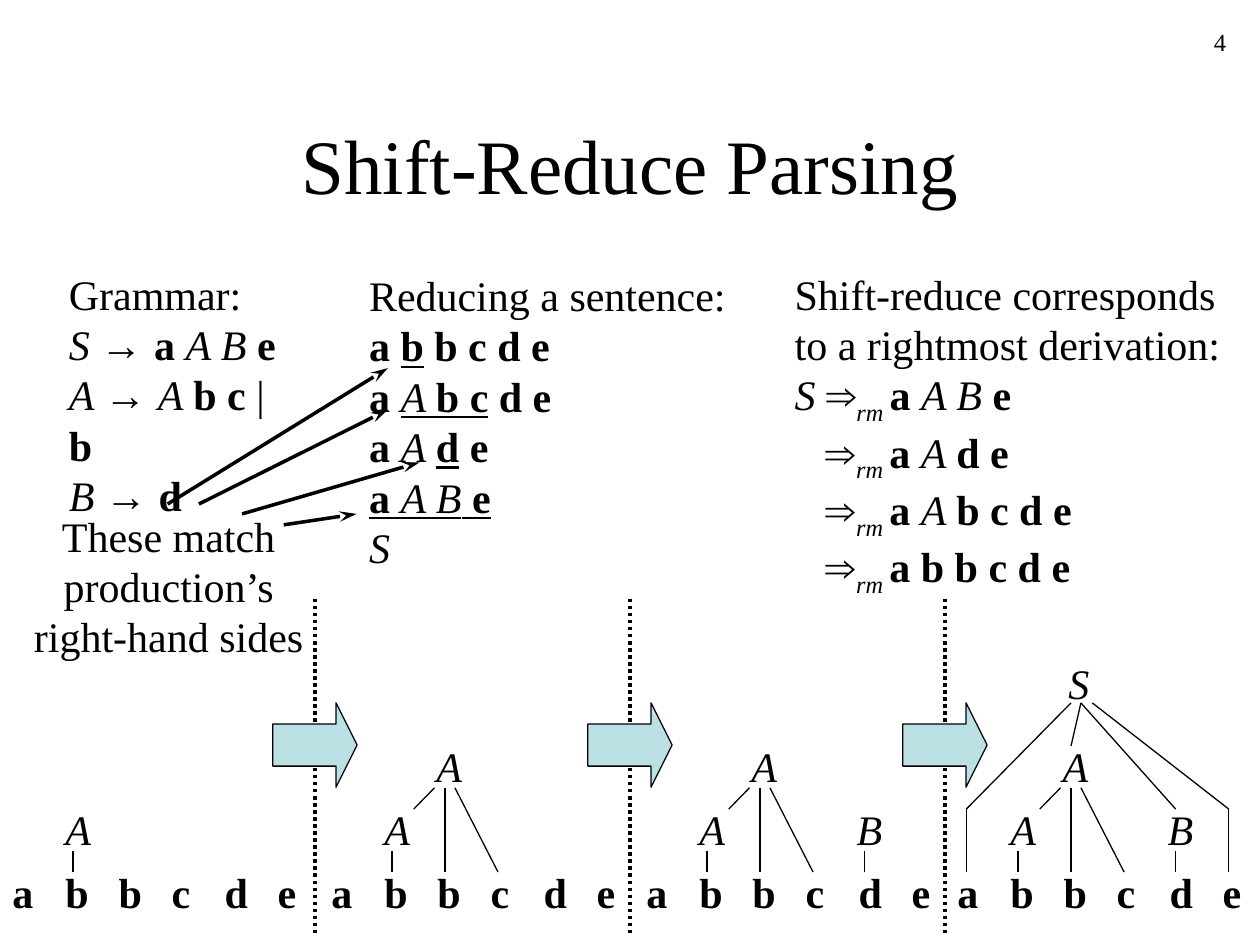
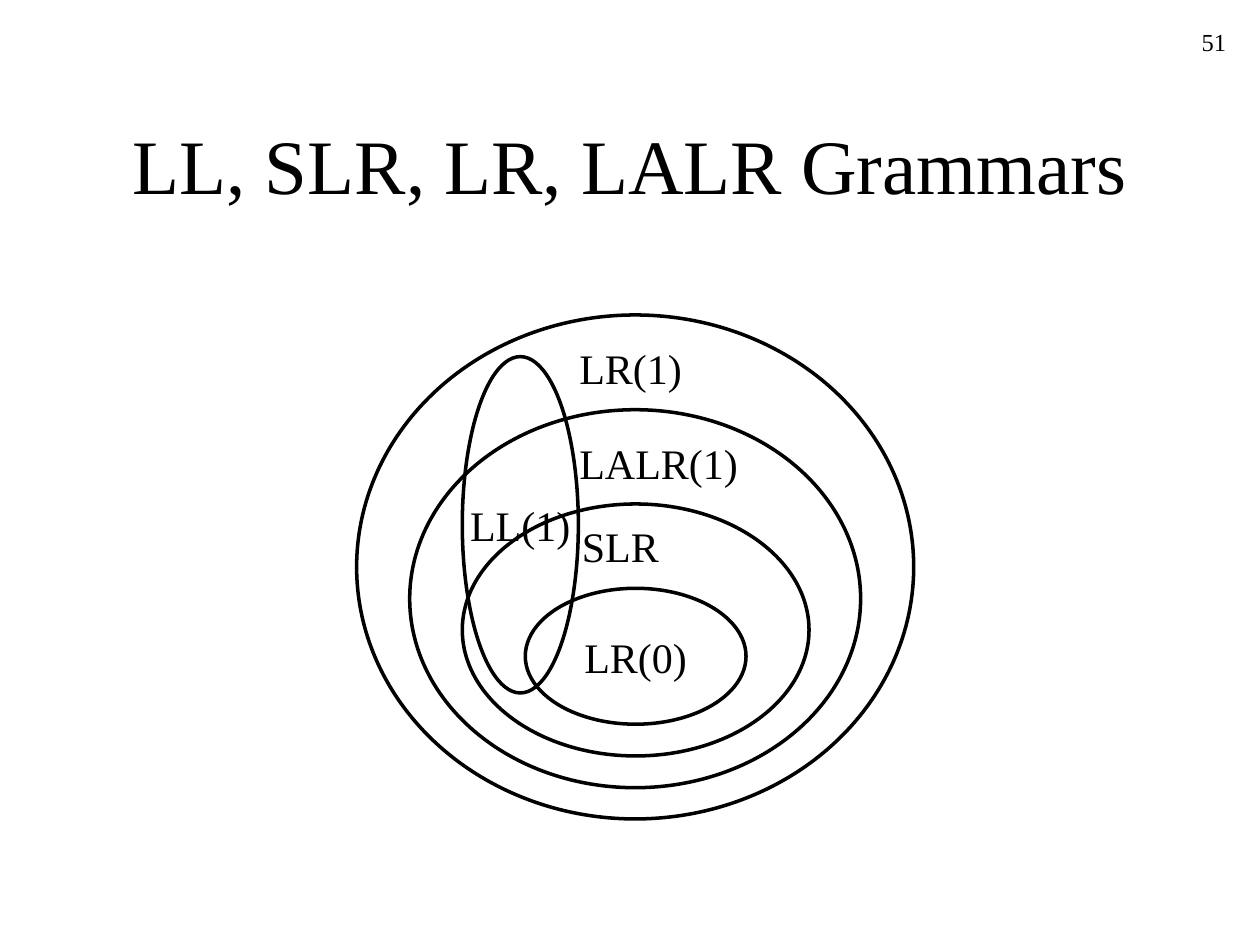
from dataclasses import dataclass
from typing import NamedTuple

from lxml import etree
from pptx import Presentation
from pptx import util as u
from pptx.dml.color import RGBColor
from pptx.enum import dml, shapes, text
from pptx.oxml import ns

BLACK = RGBColor(0x00, 0x00, 0x00)
PALE_TEAL = RGBColor(0xBB, 0xE0, 0xE3)
SERIF = "Times New Roman"
SYMBOL = "Arial"
BODY_SIZE = 24
THIN, THICK = 0.75, 2
LETTER_STEP = 1.07
STEP_INDENT = 0.63


class Span(NamedTuple):
    text: str
    style: str = ""


class Box(NamedTuple):
    left: float
    top: float
    width: float
    height: float = 1.27


class Segment(NamedTuple):
    x1: float
    y1: float
    x2: float
    y2: float


@dataclass(frozen=True)
class Reduction:
    symbol: str
    box: Box
    branches: tuple[Segment, ...]


@dataclass(frozen=True)
class GrammarClass:
    oval: Box
    name: str
    label: Box | None = None


ARROW = Span("→ ", "m")
DERIVES = (Span("⇒", "m"), Span("rm ", "is"))

GRAMMAR = (
    (Span("Grammar:"),),
    (Span("S ", "i"), ARROW, Span("a ", "b"), Span("A B ", "i"), Span("e", "b")),
    (Span("A ", "i"), ARROW, Span("A ", "i"), Span("b c ", "b"), Span("| "), Span("b", "b")),
    (Span("B ", "i"), ARROW, Span("d", "b")),
)
SENTENCE_STEPS = (
    (Span("Reducing a sentence:"),),
    (Span("a ", "b"), Span("b", "bu"), Span(" b c d e", "b")),
    (Span("a ", "b"), Span("A ", "iu"), Span("b c", "bu"), Span(" d e", "b")),
    (Span("a ", "b"), Span("A ", "i"), Span("d", "bu"), Span(" e", "b")),
    (Span("a ", "bu"), Span("A B", "iu"), Span(" ", "biu"), Span("e", "bu")),
    (Span("S", "i"),),
)
DERIVATION = (
    (Span("Shift-reduce corresponds"),),
    (Span("to a rightmost derivation:"),),
    (Span("S ", "i"), *DERIVES, Span("a ", "b"), Span("A B ", "i"), Span("e", "b")),
    (*DERIVES, Span("a ", "b"), Span("A ", "i"), Span("d e", "b")),
    (*DERIVES, Span("a ", "b"), Span("A ", "i"), Span("b c d e", "b")),
    (*DERIVES, Span("a b b c d e", "b")),
)
MATCH_NOTE = ((Span("These match"),), (Span("production’s"),), (Span("right-hand sides"),))
INPUT_LETTERS = ((Span("\t".join("abbcde"), "b"),),)

MATCH_ARROWS = (
    Segment(3.38, 10.16, 7.82, 7.42),
    Segment(4.01, 10.16, 7.82, 8.26),
    Segment(4.88, 10.36, 8.46, 9.32),
    Segment(5.72, 10.58, 7.19, 10.36),
)
PANEL_LEFTS = (0, 6.43, 12.78, 19.05)
PANEL_PITCH = 6.35
LEAF_TOP = 17.58
REDUCTIONS = (
    Reduction("A", Box(1.07, 16.08, 1.02), (Segment(1.47, 17.15, 1.47, LEAF_TOP),)),
    Reduction("A", Box(2.12, 14.81, 1.02), (
        Segment(2.33, 15.88, 1.91, 16.31),
        Segment(2.54, 15.88, 2.54, LEAF_TOP),
        Segment(2.74, 15.88, 3.61, LEAF_TOP),
    )),
    Reduction("B", Box(4.24, 16.08, 1.02), (Segment(4.65, 17.15, 4.65, LEAF_TOP),)),
    Reduction("S", Box(2.24, 13.13, 0.91), (
        Segment(2.54, 14.17, 0.43, 16.31),
        Segment(0.43, 16.31, 0.43, LEAF_TOP),
        Segment(2.74, 14.17, 2.54, 15.04),
        Segment(2.74, 14.17, 4.65, 16.31),
        Segment(2.97, 14.17, 5.72, 16.31),
        Segment(5.72, 16.31, 5.72, LEAF_TOP),
    )),
)
GRAMMAR_CLASSES = (
    GrammarClass(Box(9.32, 7.19, 2.34, 6.78), "LL(1)"),
    GrammarClass(Box(9.32, 10.16, 6.99, 5.08), "SLR", Box(11.48, 10.36, 2.06)),
    GrammarClass(Box(7.19, 6.35, 11.23, 10.16), "LR(1)", Box(11.43, 6.78, 2.57)),
    GrammarClass(Box(8.26, 8.26, 9.09, 7.62), "LALR(1)", Box(11.43, 8.69, 3.71)),
    GrammarClass(Box(10.59, 11.86, 4.45, 2.74), "LR(0)"),
)


def place(box: Box | Segment) -> tuple:
    return tuple(u.Cm(length) for length in box)


def format_font(font, size: float, style: str = "") -> None:
    font.name = SYMBOL if "m" in style else SERIF
    font.size = u.Pt(size)
    font.color.rgb = BLACK
    font.bold = "b" in style
    font.italic = "i" in style
    font.underline = "u" in style


def add_text(page, box: Box, lines: tuple, align=text.PP_ALIGN.LEFT,
             size: float = BODY_SIZE, wrap: bool = False):
    frame = page.shapes.add_textbox(*place(box)).text_frame
    frame.word_wrap = wrap
    for number, line in enumerate(lines):
        para = frame.paragraphs[0] if number == 0 else frame.add_paragraph()
        para.alignment = align
        for part in line:
            span = para.add_run()
            span.text = part.text
            format_font(span.font, size, part.style)
            if "s" in part.style:
                span._r.get_or_add_rPr().set("baseline", "-25000")
    return frame


def add_line(page, segment: Segment, width: float, dotted: bool = False,
             arrow: bool = False) -> None:
    line = page.shapes.add_connector(shapes.MSO_CONNECTOR.STRAIGHT, *place(segment))
    line.line.color.rgb = BLACK
    line.line.width = u.Pt(width)
    if dotted:
        line.line.dash_style = dml.MSO_LINE.ROUND_DOT
    if arrow:
        etree.SubElement(line.line._get_or_add_ln(), ns.qn("a:tailEnd"),
                         type="stealth", len="lg")
    etree.SubElement(line._element.spPr, ns.qn("a:effectLst"))


def add_outlined(page, kind, box: Box, width: float, fill: RGBColor | None = None):
    shape = page.shapes.add_shape(kind, *place(box))
    shape.shadow.inherit = False
    shape.line.color.rgb = BLACK
    shape.line.width = u.Pt(width)
    if fill is None:
        shape.fill.background()
    else:
        shape.fill.solid()
        shape.fill.fore_color.rgb = fill
    return shape


def add_page(deck, title: str, number: int):
    page = deck.slides.add_slide(deck.slide_layouts[5])
    heading = page.shapes.title
    heading.left, heading.top, heading.width, heading.height = place(Box(1.91, 1.7, 21.59, 3.18))
    frame = heading.text_frame
    frame.text = title
    frame.auto_size = text.MSO_AUTO_SIZE.NONE
    frame.vertical_anchor = text.MSO_ANCHOR.MIDDLE
    para = frame.paragraphs[0]
    para.alignment = text.PP_ALIGN.CENTER
    format_font(para.runs[0].font, 44)
    add_text(page, Box(19.69, 0.43, 5.28), ((Span(str(number)),),),
             text.PP_ALIGN.RIGHT, 14, True)
    return page


def add_input_letters(page, left: float) -> None:
    frame = add_text(page, Box(left, 17.35, PANEL_PITCH), INPUT_LETTERS, wrap=True)
    frame.margin_right = 0
    stops = etree.SubElement(frame.paragraphs[0]._p.get_or_add_pPr(), ns.qn("a:tabLst"))
    for step in range(1, 6):
        etree.SubElement(stops, ns.qn("a:tab"), pos=str(u.Cm(LETTER_STEP * step)), algn="l")


def add_reduction(page, left: float, reduction: Reduction) -> None:
    box = reduction.box
    add_text(page, box._replace(left=left + box.left), ((Span(reduction.symbol, "i"),),))
    for branch in reduction.branches:
        add_line(page, branch._replace(x1=left + branch.x1, x2=left + branch.x2), THIN)


def add_parsing_page(deck) -> None:
    page = add_page(deck, "Shift-Reduce Parsing", 4)
    add_text(page, Box(1.14, 5.28, 4.98, 4.32), GRAMMAR, wrap=True)
    add_text(page, Box(7.19, 5.31, 7.7, 6.35), SENTENCE_STEPS)
    derivation = add_text(page, Box(15.77, 5.28, 9.09, 6.91), DERIVATION)
    for para in derivation.paragraphs[3:]:
        para._p.get_or_add_pPr().set("marL", str(u.Cm(STEP_INDENT)))

    for count, left in enumerate(PANEL_LEFTS, 1):
        add_input_letters(page, left)
        for reduction in REDUCTIONS[:count]:
            add_reduction(page, left, reduction)

    for number in range(1, len(PANEL_LEFTS)):
        border = number * PANEL_PITCH
        add_line(page, Segment(border, 12.07, border, 18.85), THICK, dotted=True)
        arrow = add_outlined(page, shapes.MSO_SHAPE.RIGHT_ARROW,
                             Box(border - 0.85, 14.17, 1.7, 1.7), THIN, PALE_TEAL)
        arrow.adjustments[0] = 0.5
        arrow.adjustments[1] = 0.25

    add_text(page, Box(0.43, 10.16, 5.94, 3.3), MATCH_NOTE, text.PP_ALIGN.CENTER)
    for segment in MATCH_ARROWS:
        add_line(page, segment, THICK, arrow=True)


def add_grammars_page(deck) -> None:
    page = add_page(deck, "LL, SLR, LR, LALR Grammars", 51)
    for item in GRAMMAR_CLASSES:
        oval = add_outlined(page, shapes.MSO_SHAPE.OVAL, item.oval, THICK)
        if item.label:
            add_text(page, item.label, ((Span(item.name),),))
            continue
        frame = oval.text_frame
        frame.text = item.name
        frame.word_wrap = False
        frame.vertical_anchor = text.MSO_ANCHOR.MIDDLE
        frame.paragraphs[0].alignment = text.PP_ALIGN.CENTER
        format_font(frame.paragraphs[0].runs[0].font, BODY_SIZE)


def main() -> None:
    deck = Presentation()
    deck.slide_width, deck.slide_height = u.Cm(25.4), u.Cm(19.05)
    add_parsing_page(deck)
    add_grammars_page(deck)
    deck.save("out.pptx")


if __name__ == "__main__":
    main()
